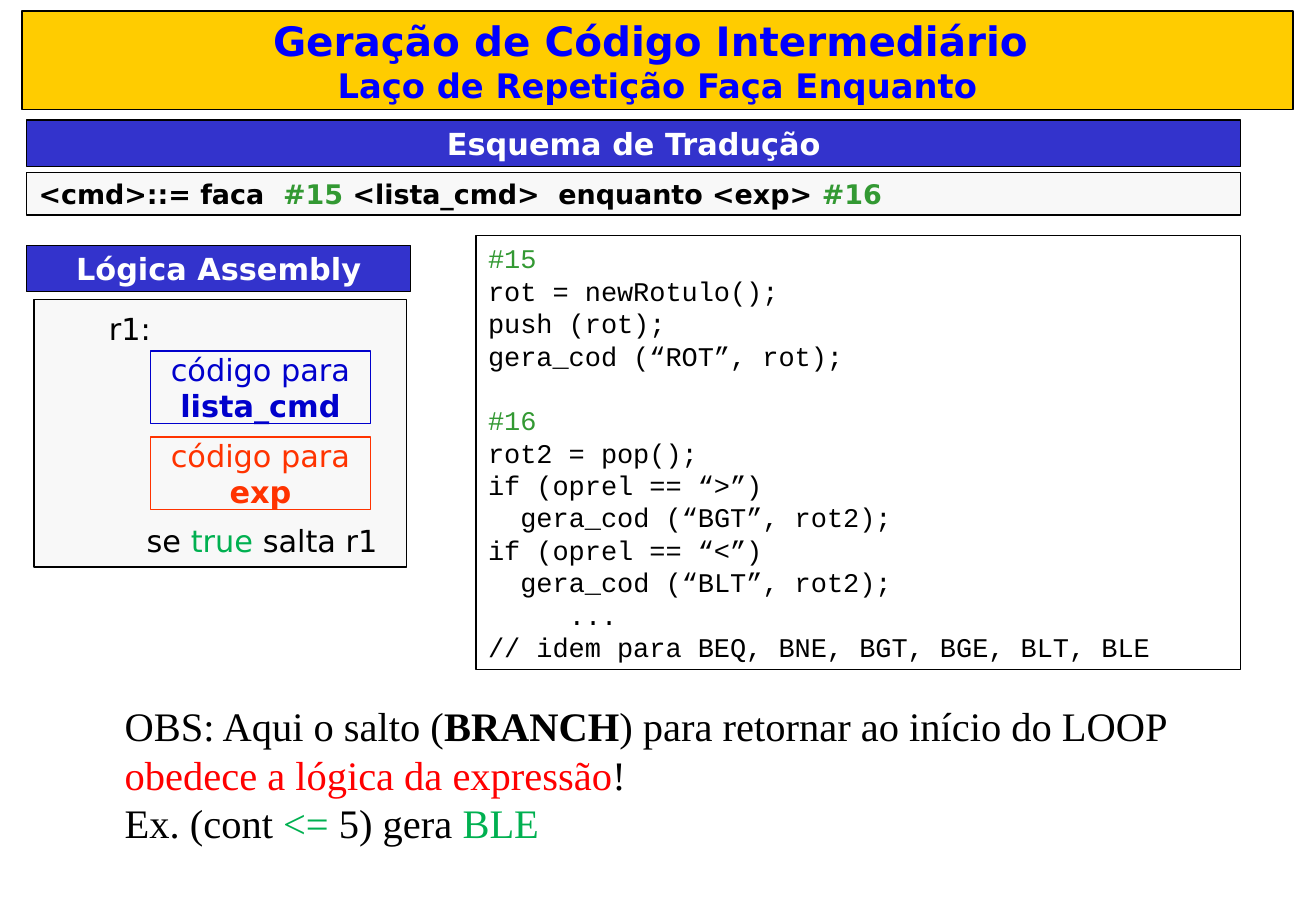
"""Build the slide on code generation for a do-while loop."""
from pptx import Presentation
from pptx.dml.color import RGBColor
from pptx.enum.shapes import MSO_SHAPE
from pptx.enum.text import MSO_ANCHOR, MSO_AUTO_SIZE, PP_ALIGN
from pptx.util import Cm, Pt

RECT = MSO_SHAPE.RECTANGLE
TOP = MSO_ANCHOR.TOP
FIXED = MSO_AUTO_SIZE.NONE
LEFT, CENTER = PP_ALIGN.LEFT, PP_ALIGN.CENTER
SANS, MONO, SERIF = "DejaVu Sans", "Courier New", "Times New Roman"
BLACK, WHITE, PALE = "000000", "FFFFFF", "F8F8F8"
GOLD, NAVY, BLUE, INK = "FFCC00", "3333CC", "0000FF", "0000CC"
GREEN, LIME, RED, FLAME = "339933", "00B050", "FF0000", "FF3300"
hue = RGBColor.from_string


def paint(shape, fill, line=BLACK):
    if fill:
        shape.fill.solid()
        shape.fill.fore_color.rgb = hue(fill)
    else:
        shape.fill.background()
    shape.line.color.rgb = hue(line)
    shape.line.width = Pt(0.75)


def write(shape, lines, sizes, font, align=LEFT, pad=(0.25, 0.1)):
    frame = shape.text_frame
    frame.word_wrap = True
    frame.auto_size = FIXED
    frame.vertical_anchor = TOP
    frame.margin_left = frame.margin_right = Cm(pad[0])
    frame.margin_top = frame.margin_bottom = Cm(pad[1])
    for row, parts in enumerate(lines):
        para = frame.paragraphs[0] if row == 0 else frame.add_paragraph()
        size = sizes[min(row, len(sizes) - 1)]
        para.alignment = align
        para.line_spacing = Pt(size * 1.2)
        for text, color, bold in parts:
            run = para.add_run()
            run.text = text
            run.font.name = font
            run.font.size = Pt(size)
            run.font.bold = bold
            run.font.color.rgb = hue(color)


deck = Presentation()
deck.slide_width, deck.slide_height = Cm(27.53), Cm(19.05)
slide = deck.slides.add_slide(deck.slide_layouts[5])
shapes = slide.shapes

title = shapes.title
title.left, title.top = Cm(0.46), Cm(0.23)
title.width, title.height = Cm(26.59), Cm(2.06)
paint(title, GOLD)
write(title, [[("Geração de Código Intermediário ", BLUE, True)],
              [("Laço de Repetição Faça Enquanto", BLUE, True)]],
      [24, 20], SANS, CENTER)

code = [
    ("#15", 0), ("rot = newRotulo();", 0), ("push (rot);", 0),
    ("gera_cod (“ROT”, rot);", 0), ("#16", 0), ("rot2 = pop();", 0),
    ("if (oprel == “>”)", 0), ("gera_cod (“BGT”, rot2);", 2),
    ("if (oprel == “<”)", 0), ("gera_cod (“BLT”, rot2);", 2),
    ("...", 5), ("// idem para BEQ, BNE, BGT, BGE, BLT, BLE", 0),
]
code_box = shapes.add_shape(RECT, Cm(9.96), Cm(4.93), Cm(16), Cm(9.07))
code_box.shadow.inherit = False
paint(code_box, None)
write(code_box, [[(text, GREEN if text[0] == "#" else BLACK, False)]
                 for text, depth in code], [16], MONO, pad=(0.25, 0.13))
for para, (text, depth) in zip(code_box.text_frame.paragraphs, code):
    if depth:
        para._p.get_or_add_pPr().set("marL", str(Pt(9.6 * depth)))
    if text == "#16":
        para.space_before = Pt(19.2)

rule = [("<cmd>::= faca  ", BLACK, True), ("#15", GREEN, True),
        (" <lista_cmd>  enquanto <exp> ", BLACK, True), ("#16", GREEN, True)]
wide, tight = (0.25, 0.1), (0.05, 0)
boxes = [
    (0.56, 3.61, 25.4, 0.89, PALE, BLACK, rule, 16, LEFT, wide),
    (0.56, 2.51, 25.4, 0.97, NAVY, BLACK,
     [("Esquema de Tradução", WHITE, True)], 18, CENTER, wide),
    (0.56, 5.13, 8.03, 0.97, NAVY, BLACK,
     [("Lógica Assembly", WHITE, True)], 18, CENTER, wide),
    (0.71, 6.27, 7.8, 5.59, PALE, BLACK, [], 18, LEFT, wide),
    (3.15, 9.14, 4.6, 1.52, None, FLAME,
     [("código para ", FLAME, False), ("exp", FLAME, True)], 18, CENTER, tight),
    (3.15, 7.34, 4.6, 1.52, None, INK,
     [("código para ", INK, False), ("lista_cmd", INK, True)], 18, CENTER, tight),
]
for left, top, width, height, fill, line, parts, size, align, pad in boxes:
    box = shapes.add_shape(RECT, Cm(left), Cm(top), Cm(width), Cm(height))
    box.shadow.inherit = False
    paint(box, fill, line)
    if parts:
        write(box, [parts], [size], SANS, align, pad)

jump = [("se ", BLACK, False), ("true ", LIME, False), ("salta r1", BLACK, False)]
note = [
    [("OBS: Aqui o salto (", BLACK, False), ("BRANCH", BLACK, True),
     (") para retornar ao início do LOOP ", BLACK, False),
     ("obedece a lógica da expressão", RED, False), ("!", BLACK, False)],
    [("Ex. (cont ", BLACK, False), ("<=", LIME, False),
     (" 5) gera ", BLACK, False), ("BLE", LIME, False)],
]
texts = [
    (3.02, 10.92, 5.97, 0.76, [jump], 18, SANS, tight),
    (2.23, 6.48, 5, 0.76, [[("r1:", BLACK, False)]], 18, SANS, tight),
    (2.36, 14.53, 23.98, 3.3, note, 24, SERIF, (0.25, 0.13)),
]
for left, top, width, height, lines, size, font, pad in texts:
    label = shapes.add_textbox(Cm(left), Cm(top), Cm(width), Cm(height))
    write(label, lines, [size], font, pad=pad)

deck.save("out.pptx")
